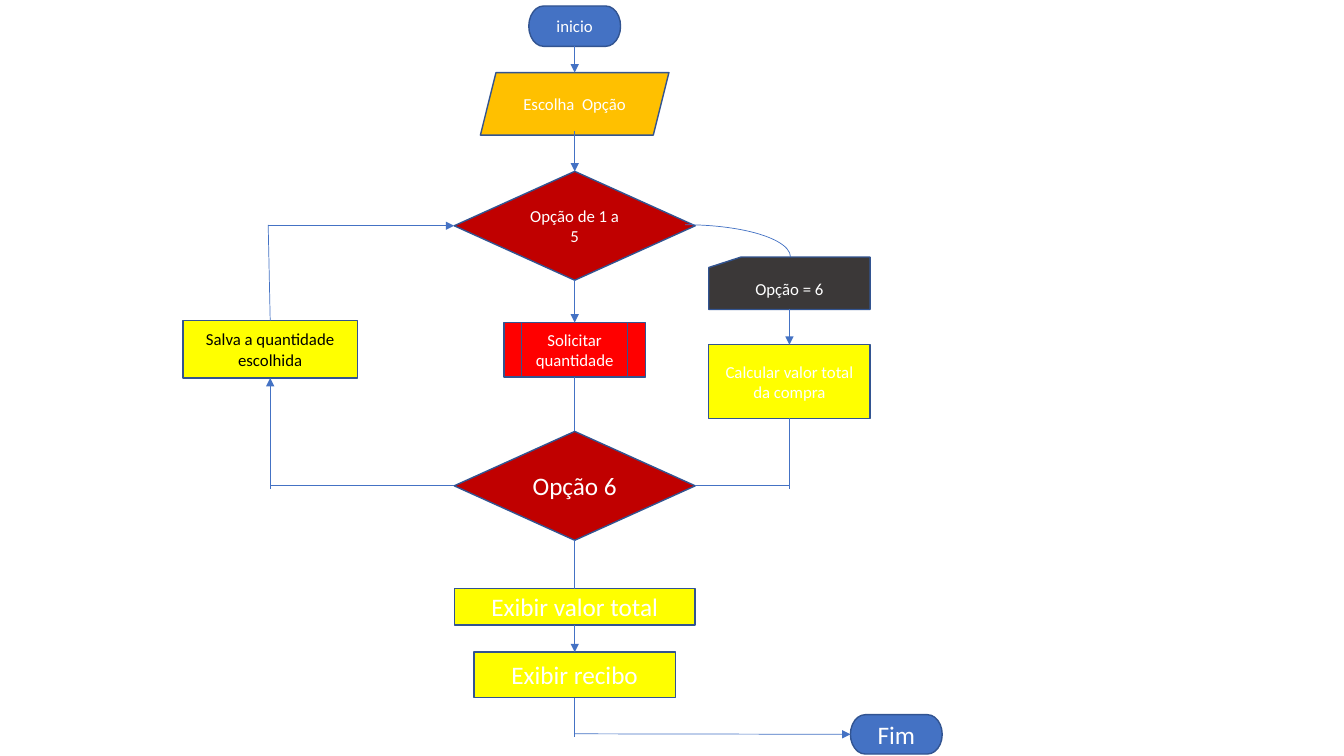
"""Build a purchase flowchart slide with decisions, process steps and connectors."""
from dataclasses import dataclass

from lxml.etree import SubElement
from pptx import Presentation
from pptx.dml.color import RGBColor
from pptx.enum.shapes import MSO_CONNECTOR as Connector, MSO_SHAPE as Shape
from pptx.enum.text import MSO_ANCHOR as Anchor, PP_ALIGN as Align
from pptx.oxml.ns import qn
from pptx.util import Inches, Pt


@dataclass(frozen=True)
class Theme:
    font: str = "Calibri"
    small: float = 12
    large: float = 18
    outline_width: float = 1
    link_width: float = 0.5
    white: str = "FFFFFF"
    black: str = "000000"
    blue: str = "4472C4"
    outline: str = "325491"
    amber: str = "FFC000"
    dark_red: str = "C00000"
    red: str = "FF0000"
    yellow: str = "FFFF00"
    charcoal: str = "3B3838"


THEME = Theme()
LEFT, MIDDLE, RIGHT, END = 2.68, 5.7, 7.83, 8.89
TOP_SIDE, LEFT_SIDE, BOTTOM_SIDE, RIGHT_SIDE = range(4)

# name: (text, preset, centre x, top, width, height, fill, text size, text colour)
NODES = {
    "start": ("inicio", Shape.FLOWCHART_TERMINATOR, MIDDLE, 0.06, 0.91, 0.4,
              THEME.blue, THEME.small, THEME.white),
    "choose": ("Escolha  Opção", Shape.PARALLELOGRAM, MIDDLE, 0.72, 1.87, 0.62,
               THEME.amber, THEME.small, THEME.white),
    "one_to_five": ("Opção de 1 a 5", Shape.FLOWCHART_DECISION, MIDDLE, 1.7, 2.39, 1.08,
                    THEME.dark_red, THEME.small, THEME.white),
    "equals_six": ("Opção = 6", Shape.FLOWCHART_CARD, RIGHT, 2.55, 1.6, 0.52,
                   THEME.charcoal, THEME.small, THEME.white),
    "calculate": ("Calcular valor total da compra", Shape.RECTANGLE, RIGHT, 3.42, 1.6, 0.73,
                  THEME.yellow, THEME.small, THEME.white),
    "request": ("Solicitar quantidade", Shape.FLOWCHART_PREDEFINED_PROCESS, MIDDLE, 3.2, 1.4, 0.54,
                THEME.red, THEME.small, THEME.white),
    "six": ("Opção 6", Shape.FLOWCHART_DECISION, MIDDLE, 4.28, 2.39, 1.08,
            THEME.dark_red, THEME.large, THEME.white),
    "show_total": ("Exibir valor total", Shape.RECTANGLE, MIDDLE, 5.84, 2.39, 0.36,
                   THEME.yellow, THEME.large, THEME.white),
    "save": ("Salva a quantidade escolhida", Shape.FLOWCHART_PROCESS, LEFT, 3.18, 1.73, 0.57,
             THEME.yellow, THEME.small, THEME.black),
    "receipt": ("Exibir recibo", Shape.FLOWCHART_PROCESS, MIDDLE, 6.47, 2, 0.45,
                THEME.yellow, THEME.large, THEME.white),
    "finish": ("Fim", Shape.FLOWCHART_TERMINATOR, END, 7.09, 0.91, 0.39,
               THEME.blue, THEME.large, THEME.white),
}

# (from, to, arrowhead); an end is a (node, side) pair or an (x, y) point
LINKS = [
    (("start", BOTTOM_SIDE), (MIDDLE, 0.72), True),
    ((MIDDLE, 1.3), ("one_to_five", TOP_SIDE), True),
    (("one_to_five", BOTTOM_SIDE), ("request", TOP_SIDE), True),
    (("equals_six", BOTTOM_SIDE), ("calculate", TOP_SIDE), True),
    (("request", BOTTOM_SIDE), ("six", TOP_SIDE), False),
    (("save", TOP_SIDE), (2.66, 2.23), False),
    ((2.66, 2.24), ("one_to_five", LEFT_SIDE), True),
    (("six", LEFT_SIDE), (LEFT, 4.82), False),
    ((LEFT, 4.85), ("save", BOTTOM_SIDE), True),
    (("calculate", BOTTOM_SIDE), (RIGHT, 4.85), False),
    (("six", RIGHT_SIDE), (RIGHT, 4.82), False),
    (("show_total", TOP_SIDE), ("six", BOTTOM_SIDE), False),
    (("show_total", BOTTOM_SIDE), ("receipt", TOP_SIDE), True),
    (("receipt", BOTTOM_SIDE), (MIDDLE, 7.31), False),
    ((MIDDLE, 7.28), ("finish", LEFT_SIDE), True),
]
ARC = (5.75, 2.23, 2.09, 0.64)


def set_line(line, color, width):
    line.color.rgb = RGBColor.from_string(color)
    line.width = Pt(width)


def write_text(shape, text, *, size, color):
    frame = shape.text_frame
    frame.word_wrap = True
    frame.vertical_anchor = Anchor.MIDDLE
    paragraph = frame.paragraphs[0]
    paragraph.alignment = Align.CENTER
    run = paragraph.add_run()
    run.text = text
    run.font.name = THEME.font
    run.font.size = Pt(size)
    run.font.color.rgb = RGBColor.from_string(color)


def add_node(slide, text, preset, center, top, width, height, fill, size, color):
    shape = slide.shapes.add_shape(
        preset, *map(Inches, (center - width / 2, top, width, height)))
    shape.shadow.inherit = False
    shape.fill.solid()
    shape.fill.fore_color.rgb = RGBColor.from_string(fill)
    set_line(shape.line, THEME.outline, THEME.outline_width)
    write_text(shape, text, size=size, color=color)
    return shape


def locate(end):
    """Return the point in inches where a link end lies."""
    if end[0] not in NODES:
        return end
    name, side = end
    center, top, width, height = NODES[name][2:6]
    return {
        TOP_SIDE: (center, top),
        LEFT_SIDE: (center - width / 2, top + height / 2),
        BOTTOM_SIDE: (center, top + height),
        RIGHT_SIDE: (center + width / 2, top + height / 2),
    }[side]


def add_link(slide, shapes, start, end, arrow):
    points = map(Inches, (*locate(start), *locate(end)))
    connector = slide.shapes.add_connector(Connector.STRAIGHT, *points)
    if start[0] in shapes:
        connector.begin_connect(shapes[start[0]], start[1])
    if end[0] in shapes:
        connector.end_connect(shapes[end[0]], end[1])
    set_line(connector.line, THEME.blue, THEME.link_width)
    properties = connector._element.spPr
    if arrow:
        SubElement(properties.find(qn("a:ln")), qn("a:tailEnd"), type="triangle")
    SubElement(properties, qn("a:effectLst"))


def main():
    presentation = Presentation()
    presentation.slide_width = Inches(13.33)
    presentation.slide_height = Inches(7.5)
    slide = presentation.slides.add_slide(presentation.slide_layouts[6])
    shapes = {name: add_node(slide, *node) for name, node in NODES.items()}
    arc = slide.shapes.add_shape(Shape.ARC, *map(Inches, ARC))
    arc.shadow.inherit = False
    arc.fill.background()
    set_line(arc.line, THEME.blue, THEME.link_width)
    for link in LINKS:
        add_link(slide, shapes, *link)
    presentation.save("out.pptx")


if __name__ == "__main__":
    main()
